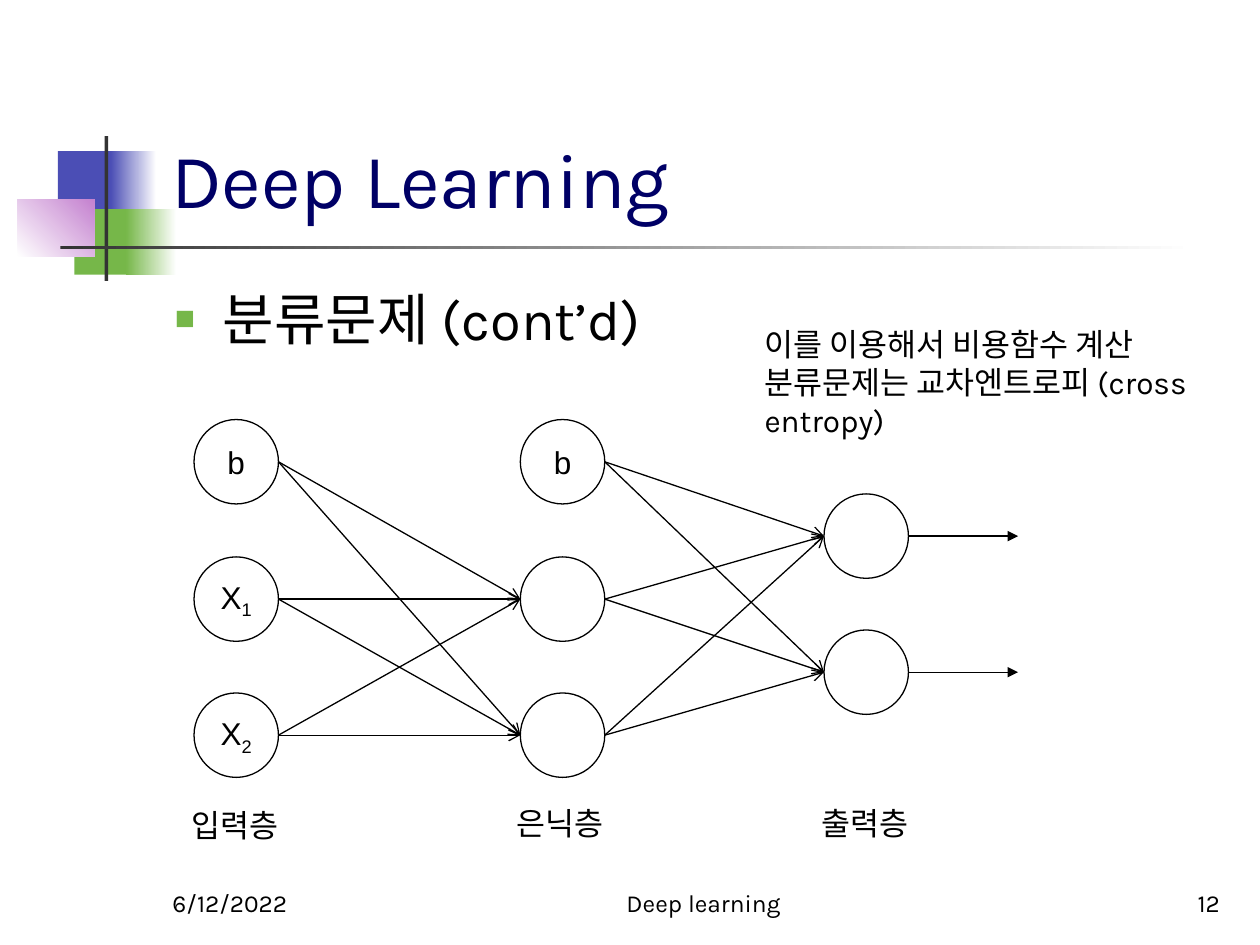
from itertools import product

from lxml.etree import SubElement
from pptx import Presentation
from pptx.dml.color import RGBColor
from pptx.enum.shapes import MSO_CONNECTOR as Connector, MSO_SHAPE as Shape
from pptx.enum.text import MSO_ANCHOR as Anchor, PP_ALIGN as Align
from pptx.oxml.ns import qn
from pptx.util import Inches, Pt

BLACK = RGBColor(0x00, 0x00, 0x00)
WHITE = RGBColor(0xFF, 0xFF, 0xFF)
NAVY = RGBColor(0x00, 0x00, 0x66)
BLUE = RGBColor(0x4B, 0x4E, 0xB5)
GREEN = RGBColor(0x76, 0xB7, 0x49)
PINK = RGBColor(0xC4, 0x81, 0xCF)
GRAY = RGBColor(0x33, 0x33, 0x33)

NODE = 0.67
ROWS = (3.33, 4.42, 5.5)
OUTPUT_ROWS = (3.92, 5)
INPUT_X, HIDDEN_X, OUTPUT_X = 1.54, 4.13, 6.54


class NetworkSlide:
    """Holds the slide and its style, and draws each kind of element."""

    def __init__(self, slide):
        self.slide = slide
        self.shapes = slide.shapes
        self.font = "Karla"
        self.node_font = "Arial"
        self.line_width = Pt(0.75)

    def style(self, paragraph, size, color=BLACK, font=None):
        for run in paragraph.runs:
            run.font.size = Pt(size)
            run.font.name = font or self.font
            run.font.color.rgb = color

    def block(self, box, start, end=None, angle=0):
        block = self.shapes.add_shape(Shape.RECTANGLE, *map(Inches, box))
        block.shadow.inherit = False
        block.line.fill.background()
        if end is None:
            block.fill.solid()
            block.fill.fore_color.rgb = start
            return
        block.fill.gradient()
        block.fill.gradient_angle = angle
        for stop, color in zip(block.fill.gradient_stops, (start, end)):
            stop.color.rgb = color

    def text(self, box, content, size, color=BLACK, align=Align.LEFT,
             anchor=Anchor.TOP, wrap=True):
        frame = self.shapes.add_textbox(*map(Inches, box)).text_frame
        frame.word_wrap = wrap
        frame.vertical_anchor = anchor
        for index, line in enumerate(content):
            paragraph = frame.add_paragraph() if index else frame.paragraphs[0]
            paragraph.text = line
            paragraph.alignment = align
            self.style(paragraph, size, color)
        return frame

    def bullet(self, box, content, size):
        paragraph = self.text(box, [content], size).paragraphs[0]
        properties = paragraph._p.get_or_add_pPr()
        properties.set("marL", str(Inches(0.38)))
        properties.set("indent", str(-Inches(0.38)))
        color = SubElement(properties, qn("a:buClr"))
        SubElement(color, qn("a:srgbClr"), val=str(GREEN))
        SubElement(properties, qn("a:buSzPct"), val="60000")
        SubElement(properties, qn("a:buFont"), typeface="Arial")
        SubElement(properties, qn("a:buChar"), char="■")

    def node(self, left, top, name="", subscript=""):
        node = self.shapes.add_shape(
            Shape.OVAL, *map(Inches, (left, top, NODE, NODE)))
        node.shadow.inherit = False
        node.fill.background()
        node.line.color.rgb = BLACK
        node.line.width = self.line_width
        if not name:
            return
        frame = node.text_frame
        frame.word_wrap = False
        frame.vertical_anchor = Anchor.MIDDLE
        paragraph = frame.paragraphs[0]
        paragraph.text = name
        paragraph.alignment = Align.CENTER
        if subscript:
            index = paragraph.add_run()
            index.text = subscript
            index.font._element.set("baseline", "-25000")
        self.style(paragraph, 18, font=self.node_font)

    def arrow(self, start, end, head="arrow"):
        arrow = self.shapes.add_connector(
            Connector.STRAIGHT, *map(Inches, (*start, *end)))
        arrow.line.color.rgb = BLACK
        arrow.line.width = self.line_width
        SubElement(arrow.line._get_or_add_ln(), qn("a:tailEnd"), type=head)
        SubElement(arrow._element.spPr, qn("a:effectLst"))

    def connect(self, left, rows, right, next_rows):
        for top, next_top in product(rows, next_rows):
            self.arrow((left + NODE, top + NODE / 2),
                       (right, next_top + NODE / 2))


def main():
    deck = Presentation()
    deck.slide_width, deck.slide_height = Inches(10), Inches(7.5)
    page = NetworkSlide(deck.slides.add_slide(deck.slide_layouts[6]))

    page.block((0.46, 1.2, 0.48, 0.52), BLUE)
    page.block((0.88, 1.2, 0.36, 0.52), BLUE, WHITE)
    page.block((0.59, 1.66, 0.46, 0.52), GREEN)
    page.block((1, 1.66, 0.4, 0.52), GREEN, WHITE)
    page.block((0.14, 1.58, 0.61, 0.46), WHITE, PINK, angle=45)
    page.block((0.83, 1.08, 0.03, 1.15), GRAY)
    page.block((0.48, 1.95, 9, 0.03), GRAY, WHITE)

    page.text((1.26, 0.23, 8.52, 1.6), ["Deep Learning"], 44, NAVY,
              anchor=Anchor.BOTTOM)
    page.bullet((1.29, 2.21, 8.5, 4.5), "분류문제 (cont’d)", 32)
    for left, width, footer, align in (
            (1.27, 2.08, "6/12/2022", Align.LEFT),
            (4, 3.17, "Deep learning", Align.CENTER),
            (7.7, 2.08, "12", Align.RIGHT)):
        page.text((left, 6.83, width, 0.5), [footer], 14, align=align,
                  anchor=Anchor.BOTTOM)

    for top, label in zip(ROWS, (("b",), ("X", "1"), ("X", "2"))):
        page.node(INPUT_X, top, *label)
    for top, name in zip(ROWS, ("b", "", "")):
        page.node(HIDDEN_X, top, name)
    for top in OUTPUT_ROWS:
        page.node(OUTPUT_X, top)

    page.connect(INPUT_X, ROWS, HIDDEN_X, ROWS[1:])
    page.connect(HIDDEN_X, ROWS, OUTPUT_X, OUTPUT_ROWS)
    for top in OUTPUT_ROWS:
        middle = top + NODE / 2
        page.arrow((OUTPUT_X + NODE, middle), (8.08, middle), "triangle")

    for left, top, layer in ((1.42, 6.35, "입력층"), (4, 6.33, "은닉층"),
                             (6.42, 6.33, "출력층")):
        page.text((left, top, 0.96, 0.4), [layer], 18, wrap=False)
    page.text((5.97, 2.53, 3.8, 1.01),
              ["이를 이용해서 비용함수 계산",
               "분류문제는 교차엔트로피 (cross\nentropy)"], 18, wrap=False)

    deck.save("out.pptx")


if __name__ == "__main__":
    main()
